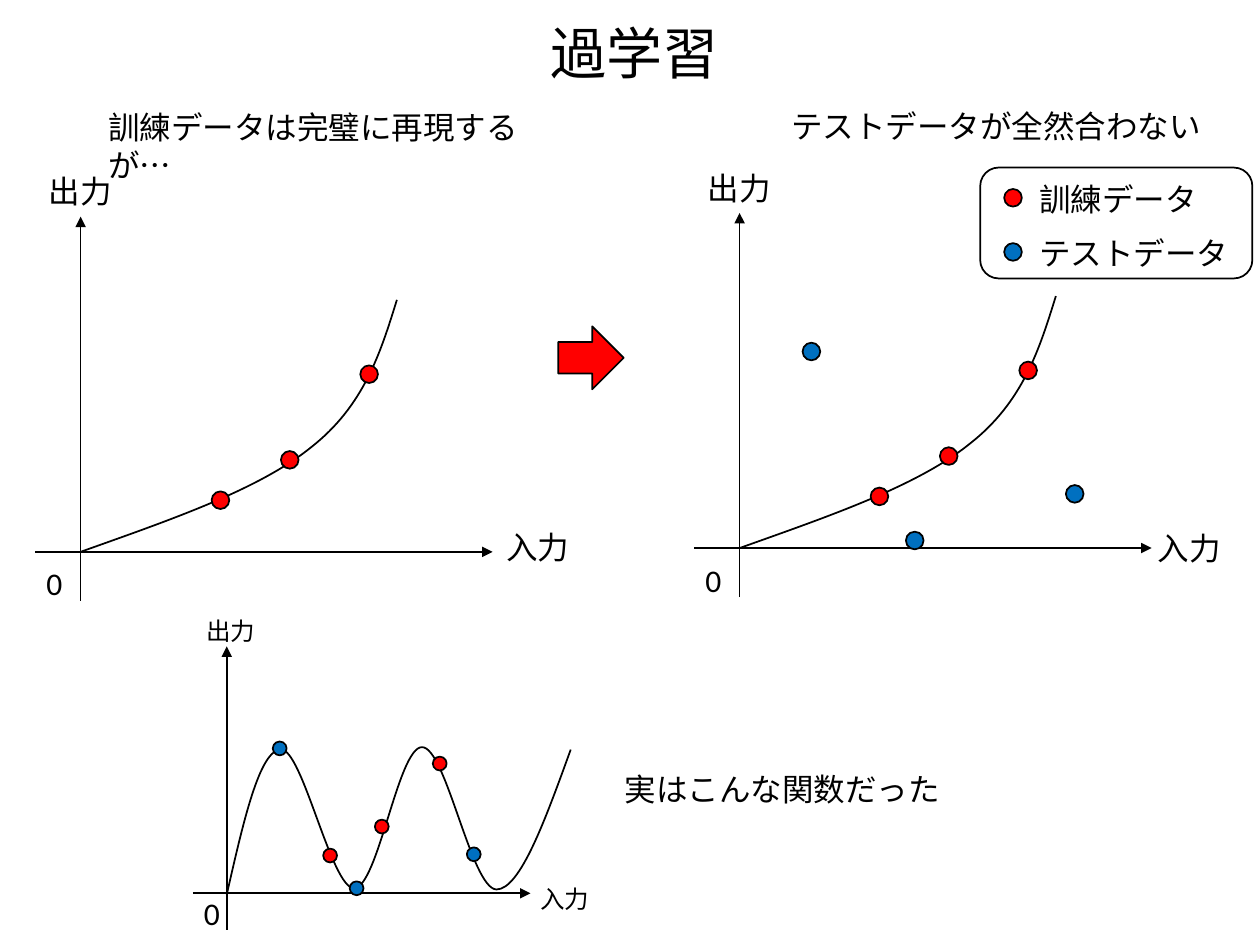
from dataclasses import dataclass

from lxml.etree import SubElement
from pptx import Presentation
from pptx.dml.color import RGBColor
from pptx.enum.shapes import MSO_CONNECTOR, MSO_SHAPE
from pptx.enum.text import MSO_AUTO_SIZE
from pptx.oxml.ns import qn
from pptx.util import Inches, Pt


@dataclass(frozen=True)
class Theme:
    font: str = "Calibri"
    ink: RGBColor = RGBColor(0, 0, 0)
    training: RGBColor = RGBColor(0xFF, 0, 0)
    test: RGBColor = RGBColor(0, 0x70, 0xC0)
    title_size: int = 32
    body_size: int = 18
    small_size: int = 14
    line_width: int = 1


@dataclass(frozen=True)
class Plot:
    origin: tuple
    horizontal: tuple
    vertical: tuple
    zero: tuple
    output: tuple
    input: tuple
    label_size: int
    label_box: tuple
    curve: list
    dot_size: float
    training: list
    test: list


THEME = Theme()
OVERFIT_CURVE = [(0, 0), (0.7, -0.25), (1.41, -0.49), (1.83, -0.83),
                 (2.25, -1.16), (2.38, -1.58), (2.51, -2)]
TRUE_CURVE = [(0, 0.01), (0.13, -0.56), (0.26, -1.14), (0.43, -1.14),
              (0.6, -1.15), (0.83, -0.04), (1.01, -0.04),
              (1.2, -0.04), (1.36, -1.16), (1.55, -1.16),
              (1.74, -1.16), (1.94, -0.04), (2.14, -0.03),
              (2.33, -0.03), (2.53, -0.59), (2.73, -1.14)]


def style_line(line):
    line.color.rgb = THEME.ink
    line.width = Pt(THEME.line_width)


def add_text(shapes, text, left, top, width, height, size=THEME.body_size, wrap=False):
    box = shapes.add_textbox(Inches(left), Inches(top), Inches(width), Inches(height))
    frame = box.text_frame
    frame.word_wrap = wrap
    frame.auto_size = MSO_AUTO_SIZE.SHAPE_TO_FIT_TEXT
    para = frame.paragraphs[0]
    para.text = text
    para.font.name = THEME.font
    para.font.size = Pt(size)
    para.font.color.rgb = THEME.ink


def add_figure(shapes, kind, left, top, width, height, color=None):
    shape = shapes.add_shape(kind, Inches(left), Inches(top), Inches(width), Inches(height))
    shape.shadow.inherit = False
    if color is None:
        shape.fill.background()
    else:
        shape.fill.solid()
        shape.fill.fore_color.rgb = color
    style_line(shape.line)


def add_dot(shapes, x, y, size, color):
    add_figure(shapes, MSO_SHAPE.OVAL, x - size / 2, y - size / 2, size, size, color)


def add_axis(shapes, start, end):
    axis = shapes.add_connector(
        MSO_CONNECTOR.STRAIGHT, *(Inches(value) for value in (*start, *end)))
    style_line(axis.line)
    SubElement(axis.line._get_or_add_ln(), qn("a:tailEnd"), type="triangle")
    SubElement(axis._element.spPr, qn("a:effectLst"))


def add_curve(shapes, points):
    start, *rest = [(Inches(x), Inches(y)) for x, y in points]
    builder = shapes.build_freeform(*start)
    builder.add_line_segments(rest, close=False)
    curve = builder.convert_to_shape()
    curve.shadow.inherit = False
    curve.fill.background()
    style_line(curve.line)
    segments = curve._element.xpath(".//a:lnTo")
    for index in range(0, len(segments), 3):
        first, *others = segments[index:index + 3]
        first.tag = qn("a:cubicBezTo")
        for segment in others:
            first.append(segment[0])
            segment.getparent().remove(segment)


def add_plot(slide, plot):
    shapes = slide.shapes.add_group_shape().shapes

    def place(point):
        return plot.origin[0] + point[0], plot.origin[1] + point[1]

    add_axis(shapes, *(place((0, y)) for y in plot.vertical))
    add_axis(shapes, *(place((x, 0)) for x in plot.horizontal))
    add_text(shapes, "0", *place(plot.zero), 0.33, 0.4)
    add_curve(shapes, [place(point) for point in plot.curve])
    for points, color in ((plot.training, THEME.training), (plot.test, THEME.test)):
        for point in points:
            add_dot(shapes, *place(point), plot.dot_size, color)
    for text, corner in (("出力", plot.output), ("入力", plot.input)):
        add_text(shapes, text, *place(corner), *plot.label_box, plot.label_size)


def overfit_plot(origin, input_corner, test):
    return Plot(
        origin=origin, horizontal=(-0.36, 3.27), vertical=(0.39, -2.66),
        zero=(-0.37, 0.05), output=(-0.35, -3.06), input=input_corner,
        label_size=THEME.body_size, label_box=(0.71, 0.4), curve=OVERFIT_CURVE,
        dot_size=0.14, training=[(1.66, -0.73), (2.29, -1.41), (1.11, -0.41)],
        test=test)


def true_plot():
    return Plot(
        origin=(1.8, 7.09), horizontal=(-0.27, 2.41), vertical=(0.29, -1.96),
        zero=(-0.28, -0.04), output=(-0.26, -2.25), input=(2.39, -0.12),
        label_size=THEME.small_size, label_box=(0.59, 0.34), curve=TRUE_CURVE,
        dot_size=0.11, training=[(1.23, -0.53), (1.69, -1.03), (0.82, -0.3)],
        test=[(0.42, -1.15), (1.03, -0.04), (1.96, -0.31)])


def add_legend(slide):
    shapes = slide.shapes.add_group_shape().shapes
    add_figure(shapes, MSO_SHAPE.ROUNDED_RECTANGLE, 7.78, 1.33, 2.16, 0.88)
    entries = (("訓練データ", THEME.training, 1.49), ("テストデータ", THEME.test, 1.78))
    for row, (text, color, width) in enumerate(entries):
        top = 1.38 + 0.43 * row
        add_dot(shapes, 8.04, top + 0.19, 0.14, color)
        add_text(shapes, text, 8.15, top, width, 0.4, wrap=True)


def main():
    deck = Presentation()
    deck.slide_width, deck.slide_height = Inches(10), Inches(7.5)
    slide = deck.slides.add_slide(deck.slide_layouts[6])
    add_text(slide.shapes, "過学習", 4.27, 0.1, 1.55, 0.64, THEME.title_size)
    add_plot(slide, overfit_plot((0.64, 4.38), (3.28, -0.24), []))
    add_plot(slide, overfit_plot((5.87, 4.35), (3.22, -0.2),
                                 [(0.57, -1.56), (1.39, -0.06), (2.66, -0.43)]))
    add_plot(slide, true_plot())
    add_figure(slide.shapes, MSO_SHAPE.RIGHT_ARROW, 4.43, 2.59, 0.52, 0.5, THEME.training)
    add_legend(slide)
    add_text(slide.shapes, "訓練データは完璧に再現するが…", 0.76, 0.81, 3.91, 0.4, wrap=True)
    add_text(slide.shapes, "テストデータが全然合わない", 6.18, 0.8, 3.48, 0.4)
    add_text(slide.shapes, "実はこんな関数だった", 4.86, 6.06, 2.73, 0.4)
    deck.save("out.pptx")


if __name__ == "__main__":
    main()
